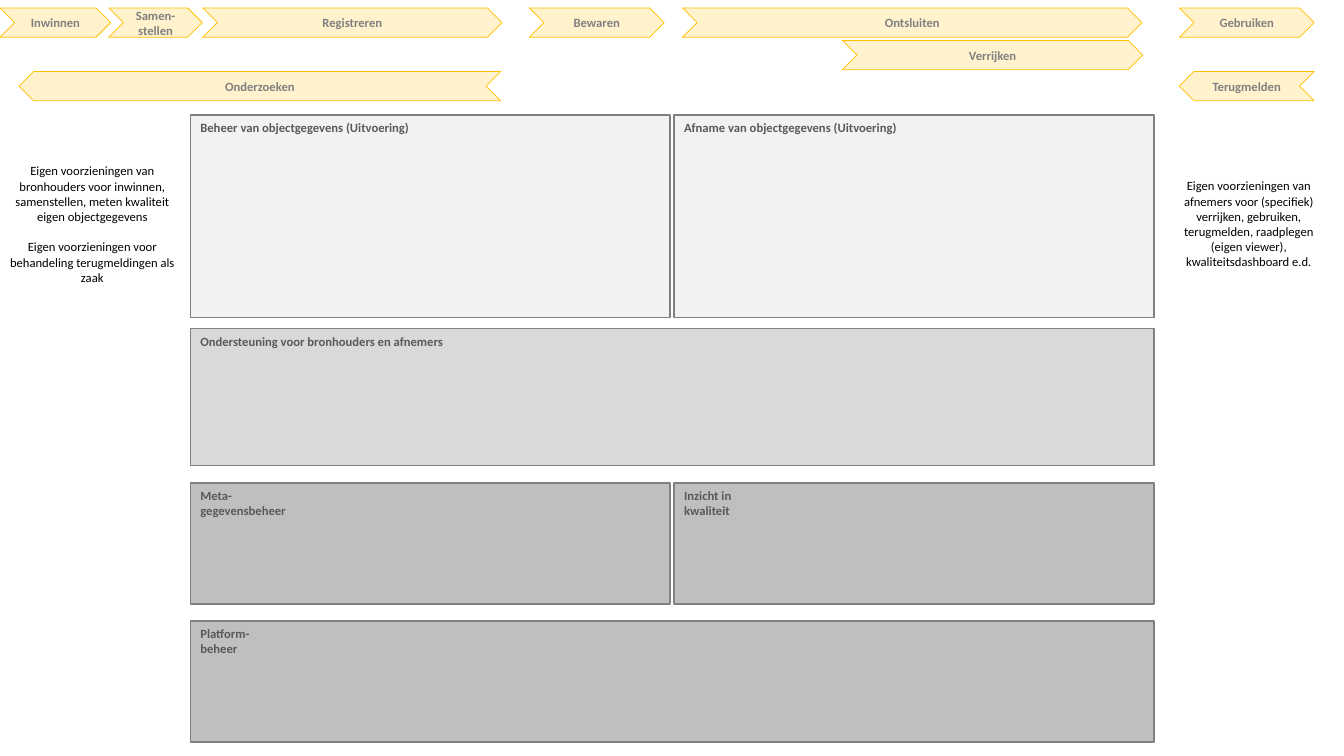
from dataclasses import dataclass

from pptx import Presentation
from pptx.dml.color import RGBColor
from pptx.enum.shapes import MSO_SHAPE
from pptx.enum.text import MSO_ANCHOR, PP_ALIGN
from pptx.oxml.ns import qn
from pptx.util import Cm, Pt

COLORS = {
    "step_fill": "FFF2CC", "step_line": "FFC000", "step_text": "808080",
    "light": "F2F2F2", "middle": "D9D9D9", "dark": "BFBFBF",
    "panel_line": "808080", "panel_text": "595959", "note_text": "000000",
}
FONT, FONT_SIZE = "Calibri", Pt(9)

# Shared measures in centimetres
COLUMN_WIDTH, COLUMN_GAP = 12.09, 0.1
LEFT_COLUMN = 4.8
RIGHT_COLUMN = LEFT_COLUMN + COLUMN_WIDTH + COLUMN_GAP
FULL_WIDTH = 2 * COLUMN_WIDTH + COLUMN_GAP
STEP_HEIGHT = 0.74
STEP_ROWS = (0.2, 1.02, 1.8)


@dataclass
class Panel:
    lines: list[str]
    left: float
    top: float
    width: float
    height: float
    fill: str


@dataclass
class Step:
    label: str
    left: float
    width: float
    row: int = 0
    backward: bool = False


@dataclass
class Note:
    paragraphs: list[str]
    left: float
    top: float
    width: float
    height: float


PANELS = [
    Panel(["Beheer van objectgegevens (Uitvoering)"], LEFT_COLUMN, 2.9, COLUMN_WIDTH, 5.11, "light"),
    Panel(["Afname van objectgegevens (Uitvoering)"], RIGHT_COLUMN, 2.9, COLUMN_WIDTH, 5.11, "light"),
    Panel(["Ondersteuning voor bronhouders en afnemers"], LEFT_COLUMN, 8.28, FULL_WIDTH, 3.45, "middle"),
    Panel(["Meta-", "gegevensbeheer"], LEFT_COLUMN, 12.17, COLUMN_WIDTH, 3.05, "dark"),
    Panel(["Inzicht in", "kwaliteit"], RIGHT_COLUMN, 12.17, COLUMN_WIDTH, 3.05, "dark"),
    Panel(["Platform-", "beheer"], LEFT_COLUMN, 15.65, FULL_WIDTH, 3.05, "dark"),
]
STEPS = [
    Step("Inwinnen", 0, 2.79),
    Step("Samen-stellen", 2.74, 2.36),
    Step("Registreren", 5.11, 7.54),
    Step("Bewaren", 13.34, 3.4),
    Step("Ontsluiten", 17.2, 11.58),
    Step("Gebruiken", 29.72, 3.4),
    Step("Verrijken", 21.23, 7.57, row=1),
    Step("Onderzoeken", 0.48, 12.14, row=2, backward=True),
    Step("Terugmelden", 29.72, 3.4, row=2, backward=True),
]
NOTES = [
    Note(["Eigen voorzieningen van bronhouders voor inwinnen, samenstellen, "
          "meten kwaliteit eigen objectgegevens",
          "Eigen voorzieningen voor behandeling terugmeldingen als zaak"],
         -0.05, 3.99, 4.75, 3.33),
    Note(["Eigen voorzieningen van afnemers voor (specifiek) verrijken, gebruiken, "
          "terugmelden, raadplegen (eigen viewer), kwaliteitsdashboard e.d."],
         29.44, 4.37, 4.06, 2.57),
]


def color(name: str) -> RGBColor:
    return RGBColor.from_string(COLORS[name])


def write(shape, lines: list[str], text_color: str, bold: bool, align, anchor, gap=Pt(0)) -> None:
    frame = shape.text_frame
    frame.word_wrap = True
    frame.vertical_anchor = anchor
    frame.text = "\n".join(lines)
    for index, paragraph in enumerate(frame.paragraphs):
        paragraph.alignment = align
        paragraph.space_before = gap if index else Pt(0)
        font = paragraph.runs[0].font
        font.name, font.size, font.bold = FONT, FONT_SIZE, bold
        font.color.rgb = color(text_color)


def add_outlined(slide, kind, box: tuple, fill: str, line: str, line_width: float):
    shape = slide.shapes.add_shape(kind, *map(Cm, box))
    shape.shadow.inherit = False
    shape.fill.solid()
    shape.fill.fore_color.rgb = color(fill)
    shape.line.color.rgb = color(line)
    shape.line.width = Pt(line_width)
    return shape


def add_panel(slide, panel: Panel) -> None:
    box = (panel.left, panel.top, panel.width, panel.height)
    shape = add_outlined(slide, MSO_SHAPE.RECTANGLE, box, panel.fill, "panel_line", 1)
    write(shape, panel.lines, "panel_text", True, PP_ALIGN.LEFT, MSO_ANCHOR.TOP)


def add_step(slide, step: Step) -> None:
    box = (step.left, STEP_ROWS[step.row], step.width, STEP_HEIGHT)
    shape = add_outlined(slide, MSO_SHAPE.CHEVRON, box, "step_fill", "step_line", 0.5)
    if step.backward:
        shape.element.spPr.find(qn("a:xfrm")).set("flipH", "1")
    write(shape, [step.label], "step_text", True, PP_ALIGN.CENTER, MSO_ANCHOR.MIDDLE)


def add_note(slide, note: Note) -> None:
    box = slide.shapes.add_textbox(*map(Cm, (note.left, note.top, note.width, note.height)))
    write(box, note.paragraphs, "note_text", False, PP_ALIGN.CENTER, MSO_ANCHOR.TOP, gap=Pt(11))


prs = Presentation()
prs.slide_width, prs.slide_height = Cm(33.87), Cm(19.05)
slide = prs.slides.add_slide(prs.slide_layouts[6])

# Function areas
for panel in PANELS:
    add_panel(slide, panel)

# Process chain
for step in STEPS:
    add_step(slide, step)

# Own facilities at both sides
for note in NOTES:
    add_note(slide, note)

prs.save("out.pptx")
